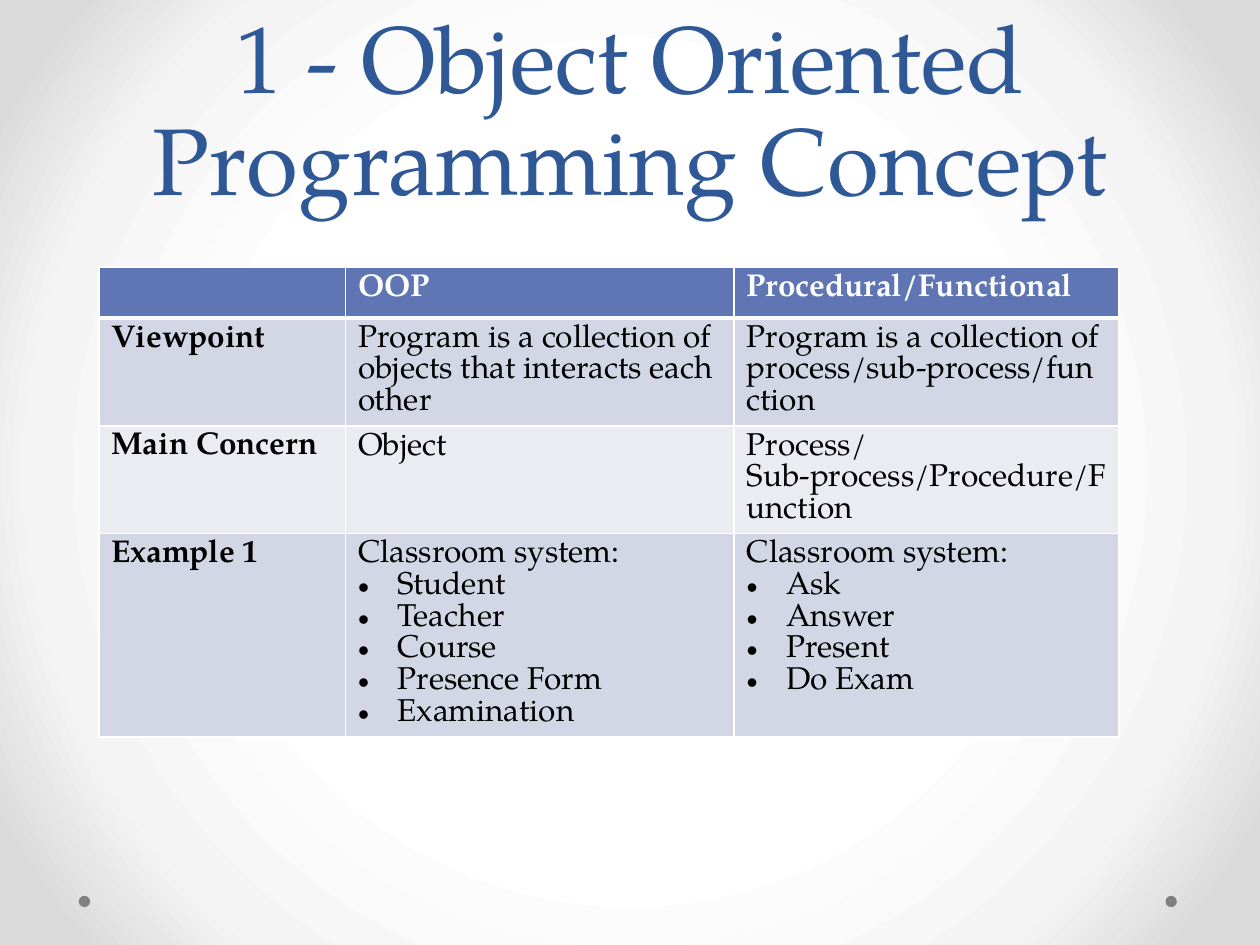
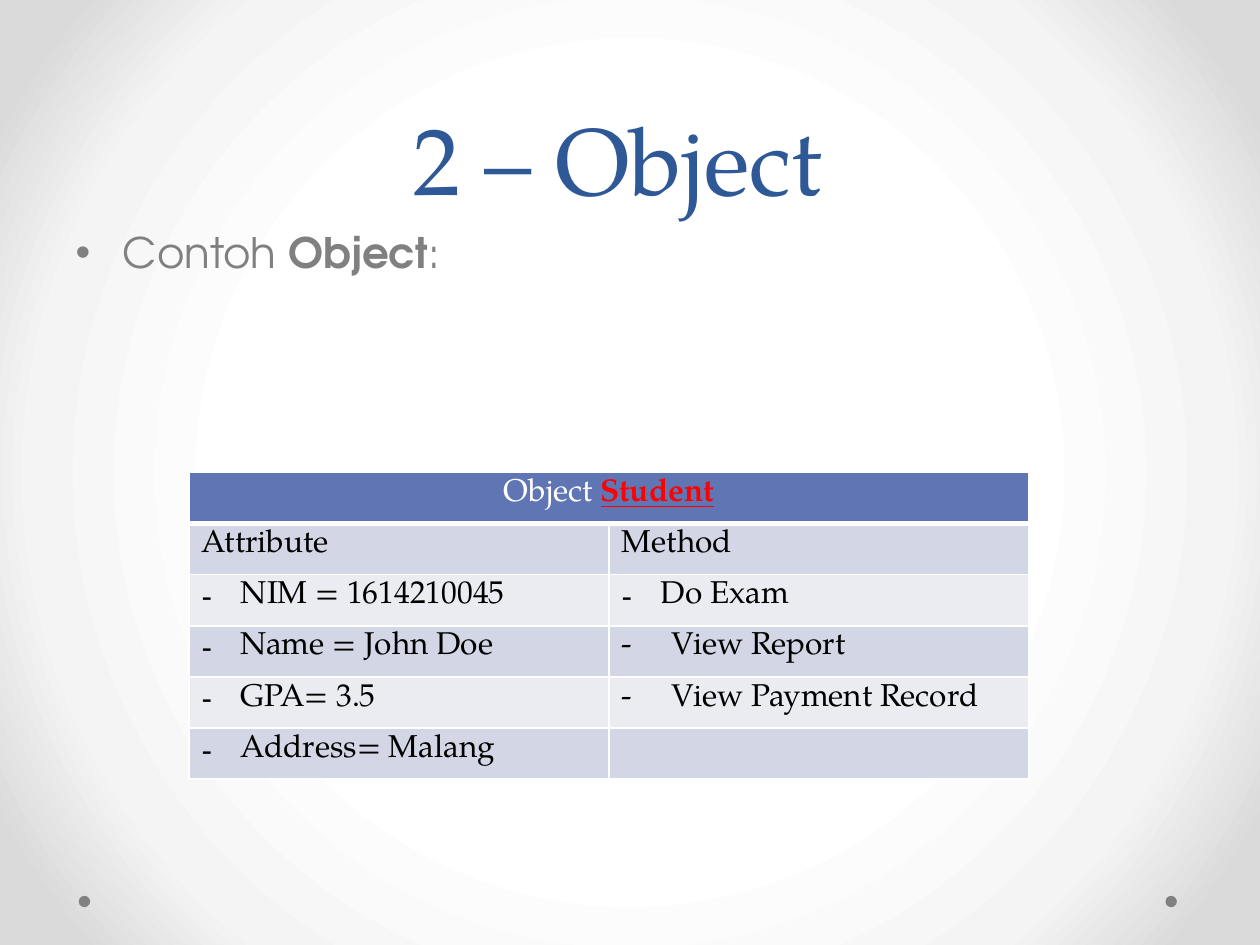
from dataclasses import dataclass

import pptx
import pptx.dml.color
import pptx.enum.shapes
import pptx.enum.text
import pptx.oxml
import pptx.oxml.ns
import pptx.util

Pt = pptx.util.Pt
qn = pptx.oxml.ns.qn
ALIGN = pptx.enum.text.PP_ALIGN
ANCHOR = pptx.enum.text.MSO_ANCHOR


@dataclass(frozen=True)
class Theme:
    serif: str = "TeX Gyre Pagella"
    sans: str = "TeX Gyre Adventor"
    title: str = "2F5897"
    muted: str = "808080"
    ink: str = "000000"
    white: str = "FFFFFF"
    accent: str = "FF0000"
    header: str = "6076B4"
    bands: tuple = ("D2D6E5", "EAECF2")
    glow: tuple = ((50, "FFFFFF"), (76, "F4F4F4"), (92, "DADADA"))
    title_size: float = 54
    title_spacing: float = 58
    body_size: float = 24
    table_size: float = 18
    list_indent: float = 22.5
    body_indent: float = 27
    tab_stop: float = 28.5
    row_height: float = 29.2


THEME = Theme()


@dataclass(frozen=True)
class Item:
    text: str
    bullet: str


def rgb(value):
    return pptx.dml.color.RGBColor.from_string(value)


def xml(markup):
    namespace = pptx.oxml.ns.nsdecls("a")
    return pptx.oxml.parse_xml(markup.replace(">", f" {namespace}>", 1))


def write(paragraph, text, font=THEME.serif, size=THEME.table_size,
          color=THEME.ink, bold=False, underline=False):
    run = paragraph.add_run()
    run.text = text
    run.font.name = font
    run.font.size = Pt(size)
    run.font.color.rgb = rgb(color)
    run.font.bold = bold
    run.font.underline = underline


def set_bullet(paragraph, bullet, indent):
    properties = paragraph._p.get_or_add_pPr()
    properties.set("marL", str(Pt(indent)))
    properties.set("indent", str(-Pt(indent)))
    properties.append(xml('<a:buFont typeface="Arial"></a:buFont>'))
    properties.append(xml(f'<a:buChar char="{bullet}"></a:buChar>'))


def set_tab(paragraph, position):
    properties = paragraph._p.get_or_add_pPr()
    properties.append(xml(
        f'<a:tabLst><a:tab pos="{Pt(position)}" algn="l"/></a:tabLst>'))


def set_background(master):
    fill = master.background.fill
    fill.solid()
    stops = "".join(
        f'<a:gs pos="{position * 1000}"><a:srgbClr val="{color}"/></a:gs>'
        for position, color in THEME.glow)
    glow = xml(
        f'<a:gradFill><a:gsLst>{stops}</a:gsLst><a:path path="circle">'
        '<a:fillToRect l="50000" t="50000" r="50000" b="50000"/>'
        '</a:path></a:gradFill>')
    properties = master.element.find(".//" + qn("p:bgPr"))
    properties.replace(properties[0], glow)


def place(shape, left, top, width, height):
    shape.left, shape.top = Pt(left), Pt(top)
    shape.width, shape.height = Pt(width), Pt(height)


def add_corner_dots(slide):
    for left in (666, 45):
        dot = slide.shapes.add_shape(
            pptx.enum.shapes.MSO_SHAPE.OVAL,
            Pt(left), Pt(511.9), Pt(6.5), Pt(6.5))
        dot.shadow.inherit = False
        dot.fill.solid()
        dot.fill.fore_color.rgb = rgb(THEME.muted)
        dot.line.fill.background()


def add_slide(deck, layout, title):
    """Add a slide with the shared dots and title."""
    slide = deck.slides.add_slide(deck.slide_layouts.get_by_name(layout))
    add_corner_dots(slide)
    heading = slide.shapes.title
    place(heading, 36, 0, 648, 126)
    frame = heading.text_frame
    frame.auto_size = pptx.enum.text.MSO_AUTO_SIZE.NONE
    frame.vertical_anchor = ANCHOR.BOTTOM
    paragraph = frame.paragraphs[0]
    paragraph.alignment = ALIGN.CENTER
    paragraph.line_spacing = Pt(THEME.title_spacing)
    write(paragraph, title, size=THEME.title_size, color=THEME.title)
    return slide


def add_body(slide, pieces):
    """Fill the body with one bullet made of (text, bold) pieces."""
    body = slide.placeholders[1]
    place(body, 36, 126, 648, 356.4)
    body.text_frame.auto_size = pptx.enum.text.MSO_AUTO_SIZE.NONE
    paragraph = body.text_frame.paragraphs[0]
    set_bullet(paragraph, "•", THEME.body_indent)
    paragraph.space_before = Pt(0)
    for text, bold in pieces:
        write(paragraph, text, font=THEME.sans, size=THEME.body_size,
              color=THEME.muted, bold=bold)


def set_borders(cell, bottom):
    properties = cell._tc.get_or_add_tcPr()
    widths = {"lnL": 1, "lnR": 1, "lnT": 1, "lnB": bottom}
    for position, (side, width) in enumerate(widths.items()):
        properties.insert(position, xml(
            f'<a:{side} w="{Pt(width)}"><a:solidFill>'
            f'<a:srgbClr val="{THEME.white}"/></a:solidFill></a:{side}>'))


def fill_cell(cell, lines, **text_format):
    frame = cell.text_frame
    for index, line in enumerate(lines):
        paragraph = frame.add_paragraph() if index else frame.paragraphs[0]
        if isinstance(line, Item):
            set_bullet(paragraph, line.bullet, THEME.list_indent)
            write(paragraph, line.text, **text_format)
            continue
        if "\t" in line:
            set_tab(paragraph, THEME.tab_stop)
        write(paragraph, line, **text_format)


def add_banded_table(slide, left, top, columns, heights, rows, bold_labels=False):
    """Add a table whose rows hold lists of lines; the first row is the header."""
    table = slide.shapes.add_table(
        len(rows), len(columns), Pt(left), Pt(top),
        Pt(sum(columns)), Pt(sum(heights))).table
    for column, width in zip(table.columns, columns):
        column.width = Pt(width)
    for row, height in zip(table.rows, heights):
        row.height = Pt(height)
    for r, row in enumerate(rows):
        is_header = r == 0
        for c, lines in enumerate(row):
            cell = table.cell(r, c)
            cell.fill.solid()
            cell.fill.fore_color.rgb = rgb(
                THEME.header if is_header else THEME.bands[(r - 1) % 2])
            set_borders(cell, bottom=3 if is_header else 1)
            fill_cell(cell, lines,
                      color=THEME.white if is_header else THEME.ink,
                      bold=bold_labels and (is_header or c == 0))
    return table


def build_concept_slide(deck):
    slide = add_slide(deck, "Title Only", "1 - Object Oriented Programming Concept")
    objects = ("Student", "Teacher", "Course", "Presence Form", "Examination")
    processes = ("Ask", "Answer", "Present", "Do Exam")
    system = "Classroom system:"
    rows = [
        [[], ["OOP"], ["Procedural/Functional"]],
        [["Viewpoint"],
         ["Program is a collection of objects that interacts each other"],
         ["Program is a collection of process/sub-process/function"]],
        [["Main Concern"], ["Object"],
         ["Process/ Sub-process/Procedure/Function"]],
        [["Example 1"],
         [system, *(Item(name, "•") for name in objects)],
         [system, *(Item(name, "•") for name in processes)]],
    ]
    add_banded_table(slide, 56.5, 152.6, (141, 222, 220),
                     (THEME.row_height, 61.5, 61.5, 116.2), rows,
                     bold_labels=True)


def build_object_slide(deck):
    slide = add_slide(deck, "Title and Content", "2 – Object ")
    add_body(slide, [("Contoh ", False), ("Object", True), (":", False)])
    rows = [
        [[], []],
        [["Attribute"], ["Method"]],
        [[Item("NIM = 1614210045", "-")], [Item("Do Exam", "-")]],
        [[Item("Name = John Doe", "-")], ["-\tView Report"]],
        [[Item("GPA= 3.5", "-")], ["-\tView Payment Record"]],
        [[Item("Address= Malang", "-")], []],
    ]
    table = add_banded_table(slide, 108, 270, (240, 240),
                             [THEME.row_height] * len(rows), rows)
    caption = table.cell(0, 0)
    caption.merge(table.cell(0, 1))
    paragraph = caption.text_frame.paragraphs[0]
    paragraph.alignment = ALIGN.CENTER
    write(paragraph, "Object ", color=THEME.white)
    write(paragraph, "Student", color=THEME.accent, bold=True, underline=True)


def main():
    deck = pptx.Presentation()
    deck.slide_width, deck.slide_height = Pt(720), Pt(540)
    set_background(deck.slide_master)
    build_concept_slide(deck)
    build_object_slide(deck)
    deck.save("out.pptx")


if __name__ == "__main__":
    main()
